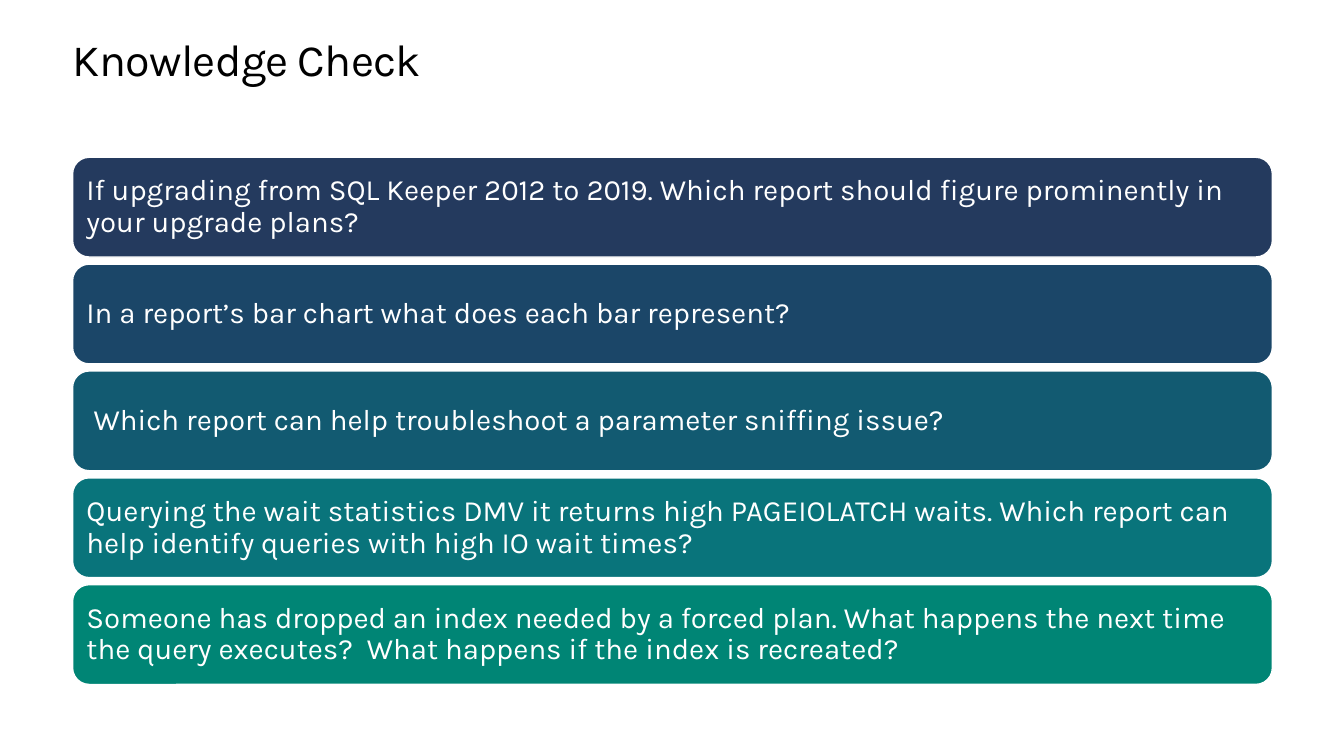
from pptx import Presentation
from pptx.dml.color import RGBColor
from pptx.enum.shapes import MSO_SHAPE
from pptx.enum.text import MSO_ANCHOR, PP_ALIGN
from pptx.util import Inches, Pt

WHITE = RGBColor(0xFF, 0xFF, 0xFF)
BLACK = RGBColor(0x00, 0x00, 0x00)
NAVY = RGBColor(0x24, 0x3A, 0x5E)
BLUE = RGBColor(0x1B, 0x46, 0x68)
PETROL = RGBColor(0x12, 0x5A, 0x71)
TEAL = RGBColor(0x09, 0x74, 0x7B)
GREEN = RGBColor(0x00, 0x85, 0x75)

LEFT, WIDTH = 0.72, 11.9
FIRST_TOP, CARD_HEIGHT, CARD_STEP = 1.56, 0.99, 1.06

# Each question: fill, extra left indent in inches, text
QUESTIONS = [
    (NAVY, 0, "If upgrading from SQL Keeper 2012 to 2019. Which report should "
     "figure prominently in your upgrade plans?"),
    (BLUE, 0, "In a report’s bar chart what does each bar represent?"),
    (PETROL, 0.07, "Which report can help troubleshoot a parameter sniffing issue?"),
    (TEAL, 0, "Querying the wait statistics DMV it returns high PAGEIOLATCH waits. "
     "Which report can help identify queries with high IO wait times?"),
    (GREEN, 0, "Someone has dropped an index needed by a forced plan. What happens "
     "the next time the query executes?  What happens if the index is recreated?"),
]


def write_text(shape, text, *, font, size, color, line_spacing, left=0, inset=0,
               anchor=MSO_ANCHOR.TOP, tracking=None):
    frame = shape.text_frame
    frame.word_wrap = True
    frame.vertical_anchor = anchor
    frame.margin_left = Inches(left)
    frame.margin_right = frame.margin_top = frame.margin_bottom = Inches(inset)
    paragraph = frame.paragraphs[0]
    paragraph.alignment = PP_ALIGN.LEFT
    paragraph.line_spacing = line_spacing
    run = paragraph.add_run()
    run.text = text
    run.font.name = font
    run.font.size = Pt(size)
    run.font.color.rgb = color
    if tracking is not None:
        run._r.get_or_add_rPr().set("spc", str(round(tracking * 100)))


class QuizSlide:
    font = "Karla"
    title_size = 32
    question_size = 21

    def __init__(self, slide):
        self.slide = slide

    def add_title(self, text):
        box = self.slide.shapes.add_textbox(
            Inches(LEFT), Inches(0.35), Inches(WIDTH), Inches(0.5))
        write_text(box, text, font=self.font, size=self.title_size, color=BLACK,
                   line_spacing=Pt(36.2), tracking=-0.5)

    def add_question(self, text, top, fill, indent):
        card = self.slide.shapes.add_shape(
            MSO_SHAPE.ROUNDED_RECTANGLE,
            Inches(LEFT), Inches(top), Inches(WIDTH), Inches(CARD_HEIGHT))
        card.shadow.inherit = False
        card.fill.solid()
        card.fill.fore_color.rgb = fill
        card.line.color.rgb = WHITE
        card.line.width = Pt(1)
        # The rounded corners already inset the text by 0.05 inches
        write_text(card, text, font=self.font, size=self.question_size, color=WHITE,
                   line_spacing=0.9, left=0.09 + indent, inset=0.09,
                   anchor=MSO_ANCHOR.MIDDLE)


def main():
    presentation = Presentation()
    presentation.slide_width = Inches(13.33)
    presentation.slide_height = Inches(7.5)
    quiz = QuizSlide(presentation.slides.add_slide(presentation.slide_layouts[6]))

    # Title
    quiz.add_title("Knowledge Check")

    # Stack of question cards
    for row, (fill, indent, text) in enumerate(QUESTIONS):
        quiz.add_question(text, FIRST_TOP + row * CARD_STEP, fill, indent)

    presentation.save("out.pptx")


if __name__ == "__main__":
    main()
